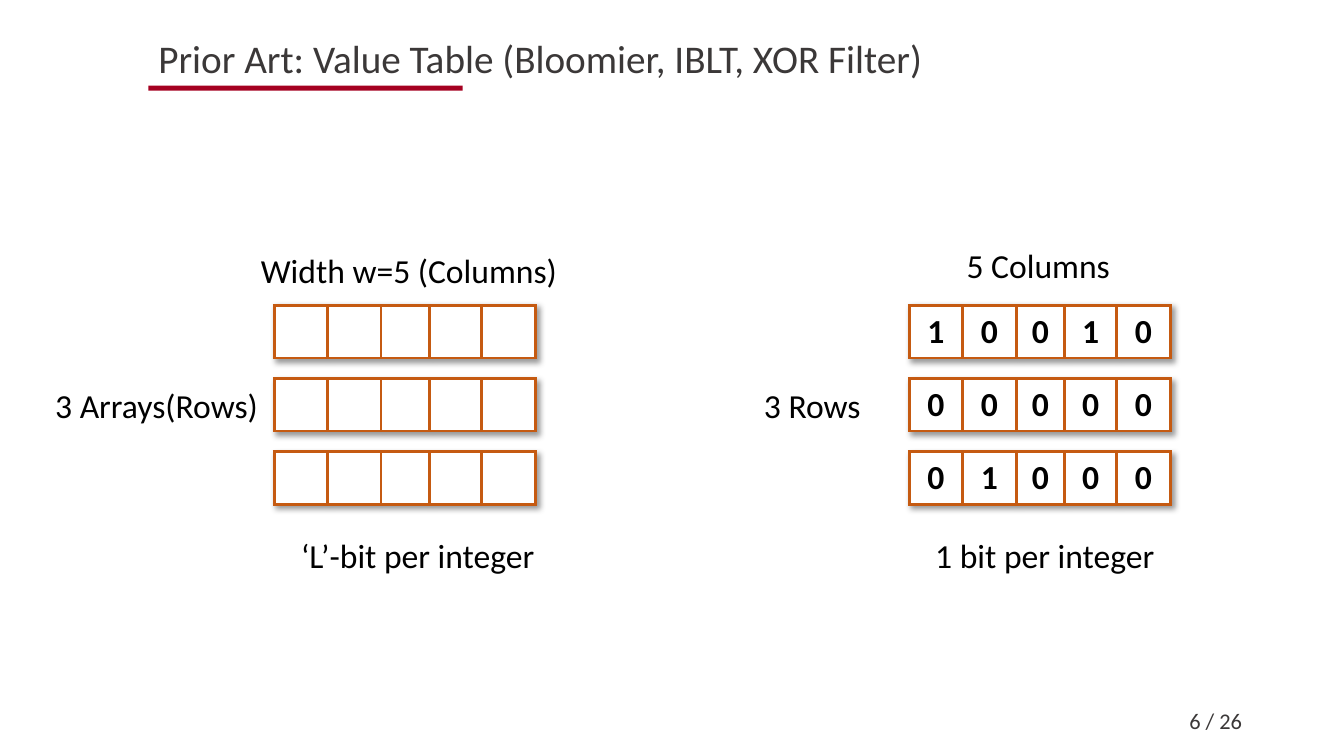
from pptx import Presentation
from pptx.dml.color import RGBColor
from pptx.enum.shapes import MSO_SHAPE as Shape
from pptx.enum.text import MSO_ANCHOR as Anchor, MSO_AUTO_SIZE as Fit, PP_ALIGN as Align
from pptx.oxml import parse_xml
from pptx.util import Inches, Pt

RED = RGBColor(0xA5, 0x00, 0x21)
GRAY = RGBColor(0x3B, 0x38, 0x38)
BLACK = RGBColor(0x00, 0x00, 0x00)
WHITE = RGBColor(0xFF, 0xFF, 0xFF)
RUST = RGBColor(0xC5, 0x5A, 0x11)
NS = 'xmlns:a="http://schemas.openxmlformats.org/drawingml/2006/main"'
COLS = (3.98, 3.98, 3.6, 3.87, 4)
TOP, STEP, HIGH = 40.4, 9.68, 6.95


class Page:
    """Draws elements on one slide, with lengths in percent of its size."""

    def __init__(self, deck, font="Calibri"):
        self.deck, self.font = deck, font
        self.slide = deck.slides.add_slide(deck.slide_layouts[5])

    def x(self, share):
        return round(self.deck.slide_width * share / 100)

    def y(self, share):
        return round(self.deck.slide_height * share / 100)

    def box(self, left, top, wide, high):
        return self.x(left), self.y(top), self.x(wide), self.y(high)

    def text(self, frame, words, size, color, align=Align.LEFT, bold=False):
        para = frame.paragraphs[0]
        para.alignment = align
        run = para.add_run()
        run.text = words
        run.font.name, run.font.size, run.font.bold = self.font, Pt(size), bold
        run.font.color.rgb = color

    def title(self, words, *area):
        head = self.slide.shapes.title
        head.left, head.top, head.width, head.height = self.box(*area)
        head.text_frame.vertical_anchor = Anchor.TOP
        head.text_frame.auto_size = Fit.SHAPE_TO_FIT_TEXT
        self.text(head.text_frame, words, 28, GRAY)

    def bar(self, *area):
        bar = self.slide.shapes.add_shape(Shape.RECTANGLE, *self.box(*area))
        bar.shadow.inherit = False
        bar.fill.solid()
        bar.fill.fore_color.rgb = RED
        bar.line.fill.background()

    def label(self, words, left, top, wide):
        area = self.box(left, top, wide, 6.67)
        frame = self.slide.shapes.add_textbox(*area).text_frame
        frame.word_wrap = False
        frame.auto_size = Fit.SHAPE_TO_FIT_TEXT
        self.text(frame, words, 24, BLACK)

    def number(self, words, *area):
        frame = self.slide.shapes.add_textbox(*self.box(*area)).text_frame
        frame.word_wrap = True
        frame.vertical_anchor = Anchor.MIDDLE
        self.text(frame, words, 16, GRAY, Align.RIGHT)

    def cell(self, cell, bit):
        cell.fill.solid()
        cell.fill.fore_color.rgb = WHITE
        cell.vertical_anchor = Anchor.MIDDLE
        cell.margin_left = cell.margin_right = Inches(0.06)
        cell.margin_top = cell.margin_bottom = Inches(0.03)
        if bit:
            self.text(cell.text_frame, bit, 24, BLACK, Align.CENTER, True)
        props = cell._tc.get_or_add_tcPr()
        for spot, side in enumerate(("lnL", "lnR", "lnT", "lnB")):
            props.insert(spot, parse_xml(
                f'<a:{side} {NS} w="{Pt(2.25)}"><a:solidFill>'
                f'<a:srgbClr val="{RUST}"/></a:solidFill></a:{side}>'))

    def strip(self, bits, left, top):
        area = self.box(left, top, sum(COLS), HIGH)
        table = self.slide.shapes.add_table(1, len(COLS), *area).table
        table.first_row = table.horz_banding = False
        table._tbl.tblPr.insert(0, parse_xml(
            f'<a:effectLst {NS}><a:outerShdw blurRad="50800" dist="38100" '
            'dir="2700000" algn="tl" rotWithShape="0"><a:srgbClr val="000000">'
            '<a:alpha val="40000"/></a:srgbClr></a:outerShdw></a:effectLst>'))
        for col, (wide, bit) in enumerate(zip(COLS, bits)):
            table.columns[col].width = self.x(wide)
            self.cell(table.cell(0, col), bit)

    def stack(self, rows, left):
        for num, bits in enumerate(rows):
            self.strip(bits, left, TOP + num * STEP)


def main():
    deck = Presentation()
    deck.slide_width, deck.slide_height = Inches(13.33), Inches(7.5)
    page = Page(deck)
    page.bar(11.03, 11.33, 23.4, 0.67)
    page.number("6 / 26", 70.65, 92.67, 22.5, 5.33)
    page.stack(("10010", "00000", "01000"), 67.65)
    page.label("3 Rows", 56.1, 50.27, 8.78)
    page.label("5 Columns", 71.18, 31.73, 12.23)
    page.label("1 bit per integer", 68.85, 70.13, 18.53)
    page.stack([[""] * len(COLS)] * 3, 20.4)
    page.label("3 Arrays(Rows)", 3.37, 50.27, 16.73)
    page.label("Width w=5 (Columns)", 18.67, 32.4, 23.7)
    page.label("‘L’-bit per integer", 21.67, 70.13, 19.73)
    page.title("Prior Art: Value Table (Bloomier, IBLT, XOR Filter)",
               11.03, 3.87, 80.4, 7.6)
    deck.save("out.pptx")


if __name__ == "__main__":
    main()
